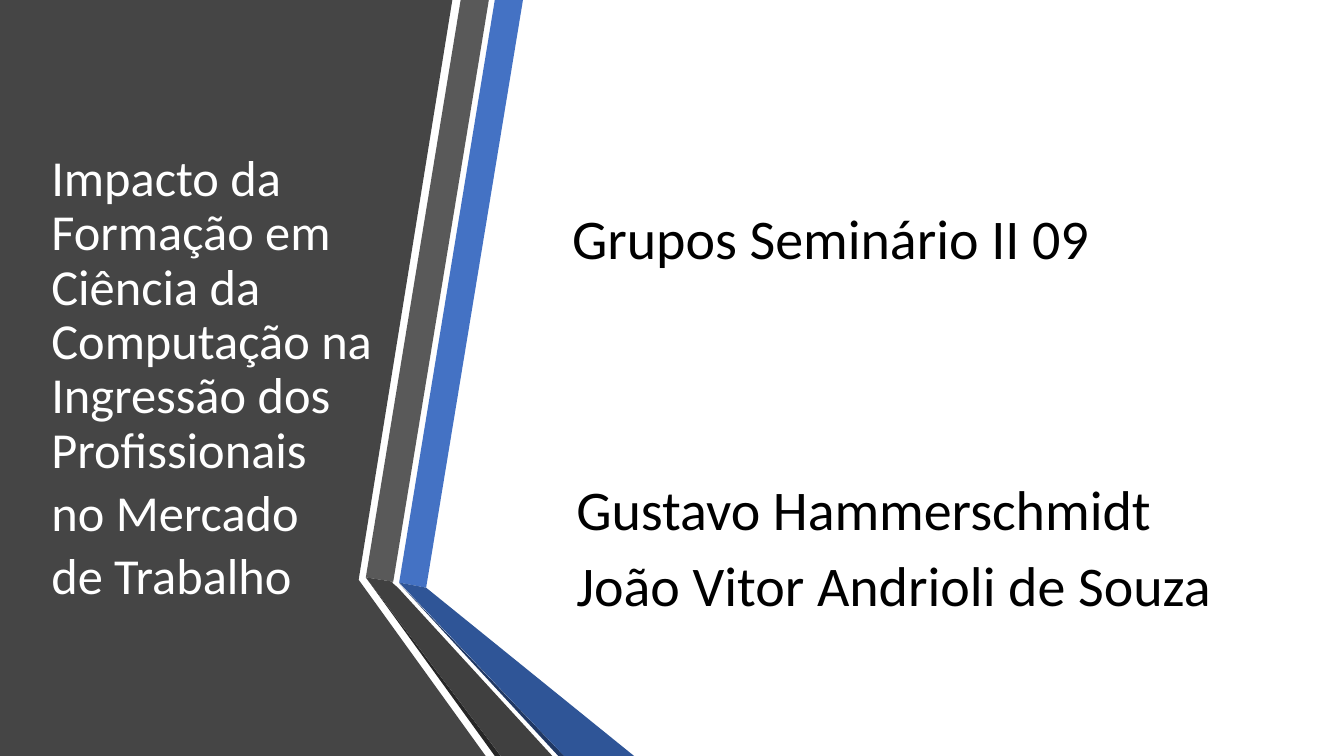
from lxml.etree import SubElement
from pptx import Presentation
from pptx.dml.color import RGBColor
from pptx.enum.text import MSO_ANCHOR, MSO_AUTO_SIZE, PP_ALIGN
from pptx.oxml.ns import qn
from pptx.util import Cm, Pt

WIDTH, HEIGHT = 33.87, 19.05
COLOURS = {
    "white": "FFFFFF", "black": "000000", "panel": "454545",
    "blue": "4472C4", "blue_fold": "2F5597", "blue_edge": "203864",
    "grey": "595959", "grey_fold": "404040", "grey_edge": "262626",
}
PANEL = [(0, 0), (11.4, 0), (9.04, 14.61), (12.24, HEIGHT), (0, HEIGHT)]
RIBBONS = [
    ("blue", [(10.06, 14.68), (10.74, 14.81), (13.18, 0), (12.47, 0)]),
    ("grey", [(12.32, 0), (11.61, 0), (9.22, 14.55), (9.91, 14.66)]),
    ("grey_edge", [(9.22, 14.55), (12.47, HEIGHT), (12.62, HEIGHT)]),
    ("blue_edge", [(10.06, 14.7), (14.07, HEIGHT), (14.22, HEIGHT)]),
    ("blue_fold", [(10.06, 14.68), (14.22, HEIGHT), (15.98, HEIGHT), (10.74, 14.81)]),
    ("grey_fold", [(13.92, HEIGHT), (10.03, 14.81), (9.88, 14.68), (9.91, 14.66),
                   (9.22, 14.55), (12.62, HEIGHT)]),
]
TITLE = [
    "Impacto da Formação em Ciência da Computação na Ingressão dos Profissionais",
    "no Mercado",
    "de Trabalho",
]
AUTHORS = ["Gustavo Hammerschmidt", "João Vitor Andrioli de Souza"]


class SlideBuilder:
    font_name = "Calibri"

    def __init__(self, page):
        self.page = page

    def colour(self, name):
        return RGBColor.from_string(COLOURS[name])

    def background(self, colour):
        fill = self.page.background.fill
        fill.solid()
        fill.fore_color.rgb = self.colour(colour)

    def polygon(self, shapes, points, colour):
        corners = [(Cm(x), Cm(y)) for x, y in points]
        builder = shapes.build_freeform(*corners[0])
        builder.add_line_segments(corners[1:], close=True)
        shape = builder.convert_to_shape()
        shape.shadow.inherit = False
        shape.fill.solid()
        shape.fill.fore_color.rgb = self.colour(colour)
        shape.line.fill.background()

    def group(self, polygons):
        group = self.page.shapes.add_group_shape()
        for colour, points in polygons:
            self.polygon(group.shapes, points, colour)

    def text(self, box, lines, size, colour, align=PP_ALIGN.LEFT,
             anchor=MSO_ANCHOR.TOP, spacing=1.0):
        frame = box.text_frame
        frame.text = "\n".join(lines)
        frame.word_wrap = True
        frame.auto_size = MSO_AUTO_SIZE.NONE
        frame.vertical_anchor = anchor
        for paragraph in frame.paragraphs:
            properties = paragraph._p.get_or_add_pPr()
            properties.set("marL", "0")
            properties.set("indent", "0")
            SubElement(properties, qn("a:buNone"))
            paragraph.alignment = align
            paragraph.line_spacing = spacing
            paragraph.space_before = Pt(0)
            paragraph.space_after = Pt(6)
            for span in paragraph.runs:
                span.font.name = self.font_name
                span.font.size = Pt(size)
                span.font.color.rgb = self.colour(colour)

    def placeholder(self, box, place, *content, **style):
        """Move a template placeholder to its place, in front of the shapes so far."""
        box.left, box.top, box.width, box.height = map(Cm, place)
        self.page.shapes._spTree.append(box._element)
        self.text(box, *content, **style)

    def text_box(self, place, *content, **style):
        self.text(self.page.shapes.add_textbox(*map(Cm, place)), *content, **style)


def main():
    deck = Presentation()
    deck.slide_width, deck.slide_height = Cm(WIDTH), Cm(HEIGHT)
    page = deck.slides.add_slide(deck.slide_layouts[1])
    builder = SlideBuilder(page)
    builder.background("white")
    builder.polygon(page.shapes, PANEL, "panel")
    builder.group(RIBBONS)
    builder.placeholder(page.shapes.title, (1.04, 2.46, 11.18, 14.17), TITLE, 36, "white",
                        anchor=MSO_ANCHOR.MIDDLE, spacing=0.9)
    builder.text_box((10.92, 5, 20.02, 4.55), ["Grupos Seminário II 09"], 40, "black",
                     align=PP_ALIGN.CENTER)
    builder.placeholder(page.placeholders[1], (14.27, 11.84, 18.03, 5.72), AUTHORS, 40, "black")
    deck.save("out.pptx")


if __name__ == "__main__":
    main()
